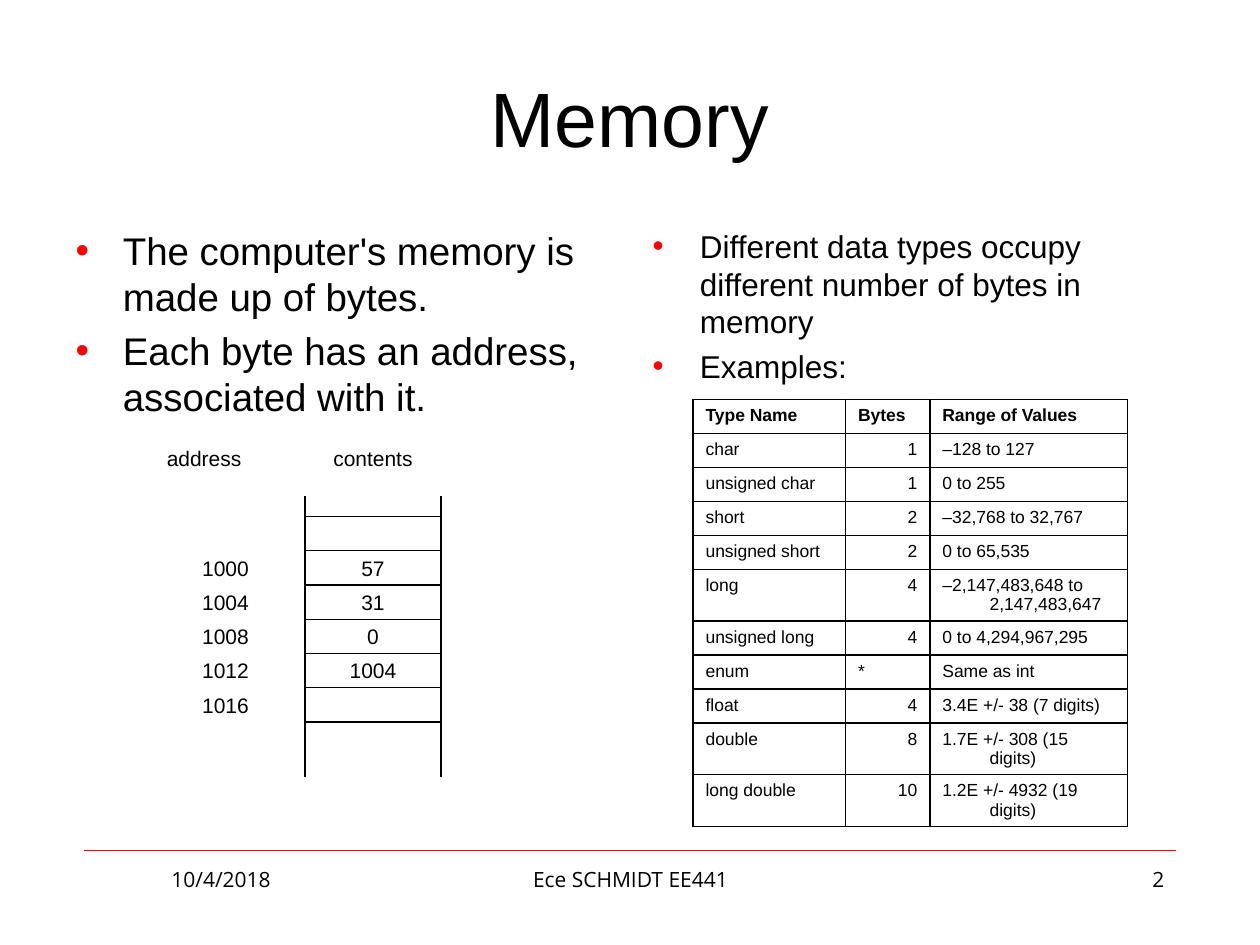
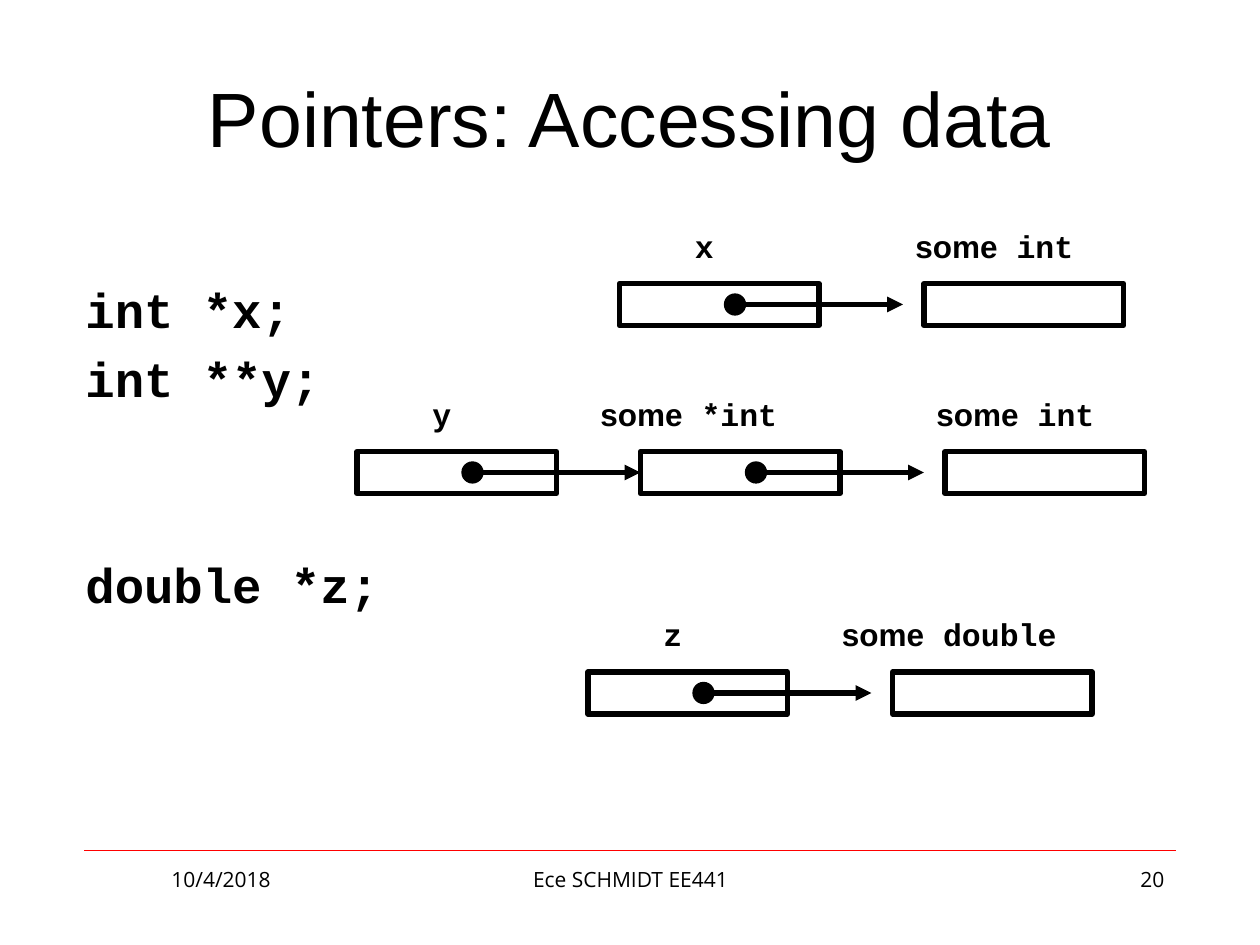
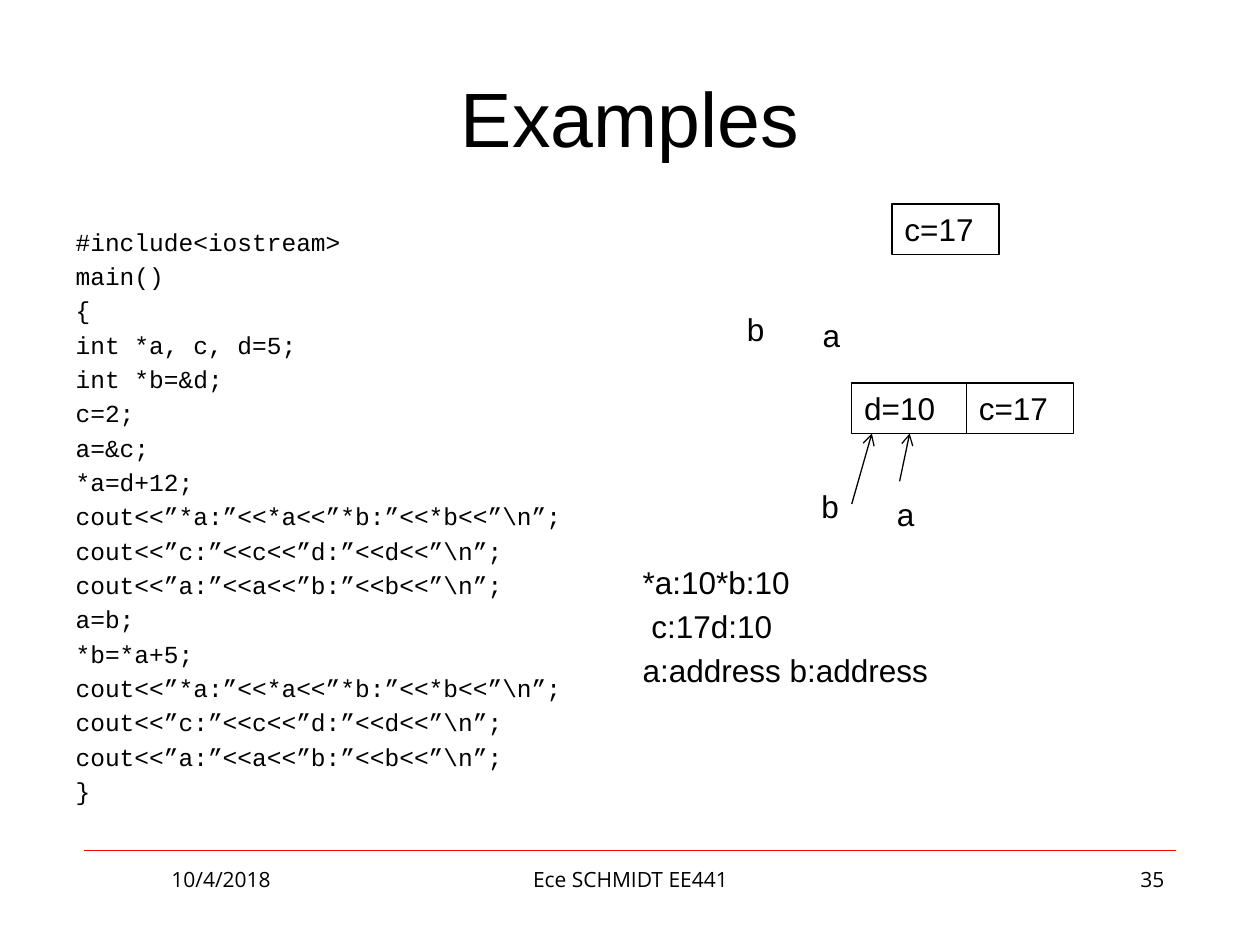
import pptx
import pptx.util
import pptx.dml.color
import pptx.enum.shapes
import pptx.enum.text
import pptx.oxml.ns
from lxml import etree

Inch = pptx.util.Inches
Pt = pptx.util.Pt
Shape = pptx.enum.shapes.MSO_SHAPE
Align = pptx.enum.text.PP_ALIGN
Anchor = pptx.enum.text.MSO_ANCHOR
qn = pptx.oxml.ns.qn

THEME = {
    "ink": "000000", "accent": "FF0000",
    "sans": "Arial", "mono": "Courier New", "foot": "Open Sans",
    "title": 44, "code": 28, "lead": 22, "body": 18, "list": 14,
    "small": 12, "table": 10,
    "hair": 0.25, "thin": 0.75, "grid": 1, "thick": 3,
}
WIDE, HIGH = 10, 7.5
UNIT = 1 / 12       # drawing grid, inches
HANG = 0.375        # hanging indent, inches

# ---- content ----
DATE, COURSE = "10/4/2018", "Ece SCHMIDT EE441"
FACTS = ["The computer's memory is made up of bytes.",
         "Each byte has an address, associated with it."]
TYPES = ["Different data types occupy different number of bytes in memory",
         "Examples:"]
CELLS = [("", ""), ("1000", "57"), ("1004", "31"), ("1008", "0"),
         ("1012", "1004"), ("1016", "")]
COLS = [1.21, 0.67, 1.57]
RANGES = [
    ("Type Name", "Bytes", "Range of Values"),
    ("char", "1", "–128 to 127"),
    ("unsigned char", "1", "0 to 255"),
    ("short", "2", "–32,768 to 32,767"),
    ("unsigned short", "2", "0 to 65,535"),
    ("long", "4", "–2,147,483,648 to 2,147,483,647"),
    ("unsigned long", "4", "0 to 4,294,967,295"),
    ("enum", "*", "Same as int"),
    ("float", "4", "3.4E +/- 38 (7 digits)"),
    ("double", "8", "1.7E +/- 308 (15 digits)"),
    ("long double", "10", "1.2E +/- 4932 (19 digits)"),
]
DECLS = ["int *x;", "int **y;", "double *z;"]
# chain top, then (box column, label column, label width, label), in units
CHAINS = [
    (21, [(59, 65, 5, ["x"]), (88, 86, 22.5, ["some", " int"])]),
    (37, [(34, 40, 5, ["y"]), (61, 56, 25, ["some", " *int"]),
          (90, 88, 22.5, ["some", " int"])]),
    (58, [(56, 62, 5, ["z"]), (85, 79, 29.5, ["some", " double"])]),
]
PRINTS = ["cout<<”*a:”<<*a<<”*b:”<<*b<<”\\n”;",
          "cout<<”c:”<<c<<”d:”<<d<<”\\n”;",
          "cout<<”a:”<<a<<”b:”<<b<<”\\n”;"]
CODE = ["#include<iostream>", "main()", "{", "int *a, c, d=5;", "int *b=&d;",
        "c=2;", "a=&c;", "*a=d+12;", *PRINTS, "a=b;", "*b=*a+5;", *PRINTS, "}"]
OUTPUT = ["*a:10*b:10", " c:17d:10", "a:address b:address"]
VARS = [(7.08, 1.62, 0.85, "c=17"), (6.76, 3.04, 0.91, "d=10"),
        (7.67, 3.04, 0.85, "c=17")]
NAMES = [(5.83, 2.41, "b"), (6.43, 2.46, "a"), (6.42, 3.82, "b"),
         (7.02, 3.88, "a")]
LINKS = [(6.76, 4, 6.92, 3.44), (7.14, 3.82, 7.22, 3.44)]


# ---- helpers ----
def tint(name):
    """Give a theme colour as RGB."""
    return pptx.dml.color.RGBColor.from_string(THEME[name])


def node(up, tag, **attrs):
    """Append an XML child with attributes."""
    kid = etree.SubElement(up, qn(tag))
    for key, value in attrs.items():
        kid.set(key, str(value))
    return kid


def style(font, face="sans", size="body", bold=False):
    """Set the face, size, weight and colour of a font."""
    looks = {"name": THEME[face], "size": Pt(THEME[size]), "bold": bold}
    for key, value in looks.items():
        setattr(font, key, value)
    font.color.rgb = tint("ink")


def indent(par, hang=HANG):
    """Give a paragraph a hanging indent."""
    props = par._p.get_or_add_pPr()
    props.set("marL", str(Inch(hang)))
    props.set("indent", str(-Inch(hang)))
    return props


def write(frame, lines, align=Align.LEFT, anchor=Anchor.TOP, **look):
    """Fill a text frame with one paragraph per line."""
    opts = {"word_wrap": True, "vertical_anchor": anchor,
            "auto_size": pptx.enum.text.MSO_AUTO_SIZE.NONE}
    for key, value in opts.items():
        setattr(frame, key, value)
    for i, line in enumerate(lines):
        par = frame.add_paragraph() if i else frame.paragraphs[0]
        par.alignment = align
        run = par.add_run()
        run.text = line
        style(run.font, **look)
    return frame.paragraphs


def items(frame, lines, hang=0, bullet=False, **look):
    """Write list paragraphs with 20% space before and optional bullets."""
    pars = write(frame, lines, **look)
    for par in pars:
        props = indent(par, hang)
        node(node(props, "a:spcBef"), "a:spcPct", val=20000)
        if bullet:
            node(node(props, "a:buClr"), "a:srgbClr", val=THEME["accent"])
            node(props, "a:buChar", char="•")
        else:
            node(props, "a:buNone")
    return pars


def place(shape, *box):
    """Move and size a shape, in inches."""
    for key, value in zip(("left", "top", "width", "height"), box):
        setattr(shape, key, Inch(value))
    return shape


def label(shapes, box, text, **look):
    """Add a text box with one paragraph."""
    frame = shapes.add_textbox(*map(Inch, box)).text_frame
    return write(frame, [text], **look)[0]


def block(shapes, box, kind=Shape.RECTANGLE, fill=None, weight="thin"):
    """Add an outlined shape, hollow unless a fill is named."""
    shape = shapes.add_shape(kind, *map(Inch, box))
    shape.shadow.inherit = False
    if fill:
        shape.fill.solid()
        shape.fill.fore_color.rgb = tint(fill)
    else:
        shape.fill.background()
    shape.line.color.rgb = tint("ink")
    shape.line.width = Pt(THEME[weight])
    return shape


def rule(shapes, ends, color="ink", weight="thin", tip=None):
    """Add a straight line, with an arrowhead if a tip is named."""
    line = shapes.add_connector(pptx.enum.shapes.MSO_CONNECTOR.STRAIGHT,
                                *map(Inch, ends))
    line.line.color.rgb = tint(color)
    line.line.width = Pt(THEME[weight])
    if tip:
        node(line.line._get_or_add_ln(), "a:tailEnd", type=tip)
    node(line._element.spPr, "a:effectLst")
    return line


def page(deck, layout, title, number):
    """Add a slide with its title and footers."""
    slide = deck.slides.add_slide(deck.slide_layouts[layout])
    head = place(slide.shapes.title, 0.5, 0.3, 9, 1.25)
    write(head.text_frame, [title], Align.CENTER, Anchor.MIDDLE, size="title")
    for left, width, text, align in [
            (0.67, 2.17, DATE, Align.CENTER),
            (3.42, 3.17, COURSE, Align.CENTER),
            (7.17, 2.17, str(number), Align.RIGHT)]:
        label(slide.shapes, (left, 6.83, width, 0.52), text, align=align,
              face="foot", size="small")
    return slide


def stack(shapes):
    """Draw the memory column with its addresses and contents."""
    left, top, width, row = 2.42, 4.1, 1.08, 1.63 / 6
    look = {"align": Align.CENTER, "anchor": Anchor.MIDDLE, "size": "small"}
    for x, text in ((1.08, "address"), (left, "contents")):
        label(shapes, (x, 3.5, width, row), text, **look)
    for i, (place_no, value) in enumerate(CELLS):
        y = top + i * row
        cell = block(shapes, (left, y, width, row))
        if value:
            write(cell.text_frame, [value], **look)
        if place_no:
            label(shapes, (1.25, y, width, row), place_no, **look)
    for x in (left, left + width):
        rule(shapes, (x, 3.94, x, 6.17))


def border(cell):
    """Draw the four borders of a table cell."""
    props = cell._tc.get_or_add_tcPr()
    for side in ("a:lnL", "a:lnR", "a:lnT", "a:lnB"):
        line = node(props, side, w=Pt(THEME["grid"]))
        node(node(line, "a:solidFill"), "a:srgbClr", val=THEME["ink"])


def grid(shapes):
    """Add the table of types; numbers go right."""
    row = 0.27
    table = shapes.add_table(len(RANGES), len(COLS), Inch(5.5), Inch(3.17),
                             Inch(sum(COLS)), Inch(row * len(RANGES))).table
    table.first_row = table.horz_banding = False
    for col, width in zip(table.columns, COLS):
        col.width = Inch(width)
    for r, texts in enumerate(RANGES):
        table.rows[r].height = Inch(0.3 if texts[0] == "long" else row)
        for c, text in enumerate(texts):
            cell = table.cell(r, c)
            par = cell.text_frame.paragraphs[0]
            par.alignment = Align.RIGHT if text.isdigit() else Align.LEFT
            indent(par)
            run = par.add_run()
            run.text = text
            style(run.font, size="table", bold=r == 0)
            border(cell)
            cell.fill.background()


def chain(shapes, top, links):
    """Draw boxes joined by pointer arrows, each with its label."""
    def units(*sizes):
        return [n * UNIT for n in sizes]

    for i, (col, at, width, words) in enumerate(links):
        first = "sans" if len(words) > 1 else "mono"
        par = label(shapes, units(at, top, width, 6), words[0],
                    face=first, bold=True)
        for word in words[1:]:
            run = par.add_run()
            run.text = word
            style(run.font, face="mono", bold=True)
        block(shapes, units(col, top + 6, 19, 4), weight="thick")
        if i < len(links) - 1:
            rule(shapes, units(col + 11, top + 8, col + 27, top + 8),
                 weight="thick", tip="triangle")
            block(shapes, units(col + 10, top + 7, 2, 2), Shape.OVAL, "ink")


# ---- slides ----
def memory(deck):
    """Build the memory slide."""
    slide = page(deck, 3, "Memory", 2)
    left, right = list(slide.placeholders)[1:3]
    items(place(left, 0.5, 1.75, 4.42, 1.92).text_frame, FACTS, HANG, True,
          size="lead")
    items(place(right, 5.08, 1.75, 4.42, 1.67).text_frame, TYPES, HANG, True)
    stack(slide.shapes.add_group_shape().shapes)
    grid(slide.shapes)
    return slide


def pointers(deck):
    """Build the pointer slide."""
    slide = page(deck, 5, "Pointers: Accessing data", 20)
    box = slide.shapes.add_textbox(*map(Inch, (0.58, 2.17, 2.92, 4.5)))
    pars = items(box.text_frame, DECLS, HANG, face="mono", size="code",
                 bold=True)
    pars[-1].space_before = Pt(3 * THEME["code"])
    for top, links in CHAINS:
        chain(slide.shapes, top, links)


def examples(deck):
    """Build the code example slide."""
    slide = page(deck, 3, "Examples", 35)
    left, right = list(slide.placeholders)[1:3]
    items(place(left, 0.5, 1.75, 4.42, 4.95).text_frame, CODE, face="mono",
          size="list")
    items(place(right, 5, 4.42, 4.42, 2.33).text_frame, OUTPUT)
    for x, y, width, text in VARS:
        write(block(slide.shapes, (x, y, width, 0.4)).text_frame, [text])
    for x, y, text in NAMES:
        label(slide.shapes, (x, y, 0.34, 0.4), text)
    for ends in LINKS:
        rule(slide.shapes, ends, tip="arrow")


deck = pptx.Presentation()
deck.slide_width, deck.slide_height = Inch(WIDE), Inch(HIGH)
first = memory(deck)
pointers(deck)
examples(deck)
# the footer rule belongs to the master, so that all slides share it
edge = rule(first.shapes, (0.67, 0.9 * HIGH, WIDE - 0.67, 0.9 * HIGH),
            "accent", "hair")
deck.slide_master.element.cSld.spTree.append(edge._element)
deck.save("out.pptx")
